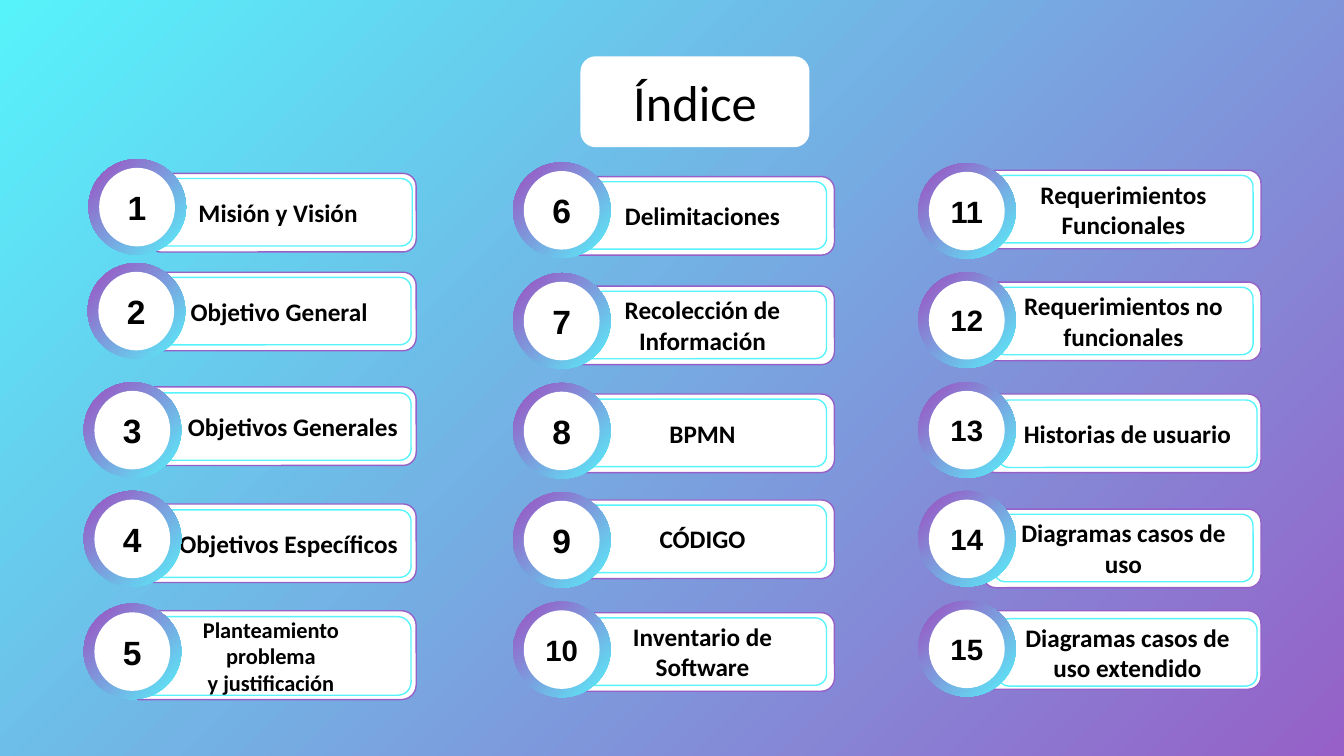
from dataclasses import dataclass

from pptx import Presentation
from pptx.dml.color import RGBColor
from pptx.enum.shapes import MSO_SHAPE
from pptx.enum.text import MSO_ANCHOR, MSO_AUTO_SIZE, PP_ALIGN
from pptx.util import Cm, Pt

PURPLE, CYAN, WHITE, BLACK = "9660C8", "57F3FB", "FFFFFF", "000000"


@dataclass
class Entry:
    """One index entry; lengths in centimetres, lefts counted from its column."""
    number: int
    label: str
    card_top: float
    badge_top: float
    panel_left: float
    panel_width: float
    panel_drop: float = 0.13
    card_left: float = 0
    badge_shift: float = 0
    card_height: float = 1.98
    panel_height: float = 1.7
    label_size: int = 18
    number_size: int = 24
    align: PP_ALIGN = PP_ALIGN.CENTER


@dataclass
class Column:
    """A column of cards with the places of its cards and badges."""
    left: float
    card_width: float
    badge_left: float
    entries: list


COLUMNS = [
    Column(3.15, 7.34, 2.11, [
        Entry(1, "Misión y Visión", 4.37, 4.01, 0.48, 6.76,
              card_left=0.56, badge_shift=0.12),
        Entry(2, "Objetivo General", 6.86, 6.63, 0.56, 6.65, badge_shift=0.1),
        Entry(3, "Objetivos Generales", 9.75, 9.63, 0.56, 6.65, 0.15,
              align=PP_ALIGN.RIGHT),
        Entry(4, "Objetivos Específicos", 12.7, 12.37, 0.66, 6.55, 0.15,
              align=PP_ALIGN.RIGHT),
        Entry(5, "Planteamiento\nproblema\ny justificación", 15.39, 15.21, 0.15, 7.06,
              0.15, card_height=2.24, panel_height=1.98, label_size=16),
    ]),
    Column(14.02, 7.01, 12.93, [
        Entry(6, "Delimitaciones", 4.45, 4.09, 0.56, 6.25),
        Entry(7, "Recolección de Información", 7.21, 6.88, 0.56, 6.25),
        Entry(8, "BPMN", 9.93, 9.65, 0.56, 6.25),
        Entry(9, "CÓDIGO", 12.6, 12.4, 0.56, 6.25),
        Entry(10, "Inventario de Software", 15.44, 15.16, 0.56, 6.25, number_size=21),
    ]),
    Column(24.77, 7.01, 23.14, [
        Entry(11, "Requerimientos Funcionales", 4.29, 4.11, 0.28, 6.53, number_size=22),
        Entry(12, "Requerimientos no funcionales", 7.11, 6.86, 0.28, 6.53, number_size=21),
        Entry(13, "Historias de usuario", 9.93, 9.63, 0.38, 6.53, 0.15, number_size=21),
        Entry(14, "Diagramas casos de uso", 12.83, 12.37, 0.28, 6.53, number_size=21),
        Entry(15, "Diagramas casos de uso extendido", 15.39, 15.14, 0.38, 6.53, 0.2,
              number_size=21),
    ]),
]


def color(hex_text):
    """Turn a hex string into a colour."""
    return RGBColor.from_string(hex_text)


def paint_gradient(fill, start, end, end_position=1.0):
    """Fill with a diagonal gradient that starts at the lower right."""
    fill.gradient()
    fill.gradient_angle = 135
    first, last = fill.gradient_stops
    first.color.rgb, first.position = color(start), 0
    last.color.rgb, last.position = color(end), end_position


def add_part(slide, kind, left, top, width, height, outline=None):
    """Add a white preset shape without shadow."""
    part = slide.shapes.add_shape(kind, Cm(left), Cm(top), Cm(width), Cm(height))
    part.shadow.inherit = False
    part.fill.solid()
    part.fill.fore_color.rgb = color(WHITE)
    if outline:
        part.line.color.rgb = color(outline)
        part.line.width = Pt(1)
    else:
        part.line.fill.background()
    return part


def write(part, text, size, font, bold=True, align=PP_ALIGN.CENTER):
    """Write text, middle anchored, with line breaks between its lines."""
    frame = part.text_frame
    frame.word_wrap = True
    frame.auto_size = MSO_AUTO_SIZE.NONE
    frame.vertical_anchor = MSO_ANCHOR.MIDDLE
    paragraph = frame.paragraphs[0]
    paragraph.alignment = align
    for index, line in enumerate(text.split("\n")):
        if index:
            paragraph.add_line_break()
        run = paragraph.add_run()
        run.text = line
        run.font.name, run.font.size, run.font.bold = font, Pt(size), bold
        run.font.color.rgb = color(BLACK)


def add_title(slide, left, top, width, height):
    """Place the title placeholder in front of a white rounded plate."""
    add_part(slide, MSO_SHAPE.ROUNDED_RECTANGLE, left, top, width, height)
    title = slide.shapes.title
    title.left, title.top, title.width, title.height = map(Cm, (left, top, width, height))
    title.element.getparent().append(title.element)
    write(title, "Índice", 36, "Calibri", bold=False)


def add_card(slide, entry, left, width):
    """Draw the double-framed card with the entry's label."""
    add_part(slide, MSO_SHAPE.ROUNDED_RECTANGLE, left + entry.card_left, entry.card_top,
             width - entry.card_left, entry.card_height, PURPLE)
    panel = add_part(slide, MSO_SHAPE.ROUNDED_RECTANGLE, left + entry.panel_left,
                     entry.card_top + entry.panel_drop, entry.panel_width,
                     entry.panel_height, CYAN)
    write(panel, entry.label, entry.label_size, "Calibri", align=entry.align)


def add_badge(slide, entry, left, top):
    """Draw the gradient ring and the disc with the entry's number."""
    ring = add_part(slide, MSO_SHAPE.FLOWCHART_CONNECTOR, left, top, 2.46, 2.41)
    paint_gradient(ring.fill, CYAN, PURPLE, 0.88)
    disc = add_part(slide, MSO_SHAPE.FLOWCHART_CONNECTOR, left + 0.27, top + 0.22, 1.91, 1.98)
    write(disc, str(entry.number), entry.number_size, "Arial")


def add_column(slide, column):
    """Draw every entry of one column."""
    for entry in column.entries:
        add_card(slide, entry, column.left, column.card_width)
        add_badge(slide, entry, column.badge_left + entry.badge_shift, entry.badge_top)


def main():
    """Build the index slide and save it."""
    deck = Presentation()
    deck.slide_width, deck.slide_height = Cm(33.87), Cm(19.05)
    slide = deck.slides.add_slide(deck.slide_layouts[5])
    paint_gradient(slide.background.fill, PURPLE, CYAN)
    for column in COLUMNS:
        add_column(slide, column)
    add_title(slide, 14.63, 1.42, 5.77, 2.29)
    deck.save("out.pptx")


if __name__ == "__main__":
    main()
